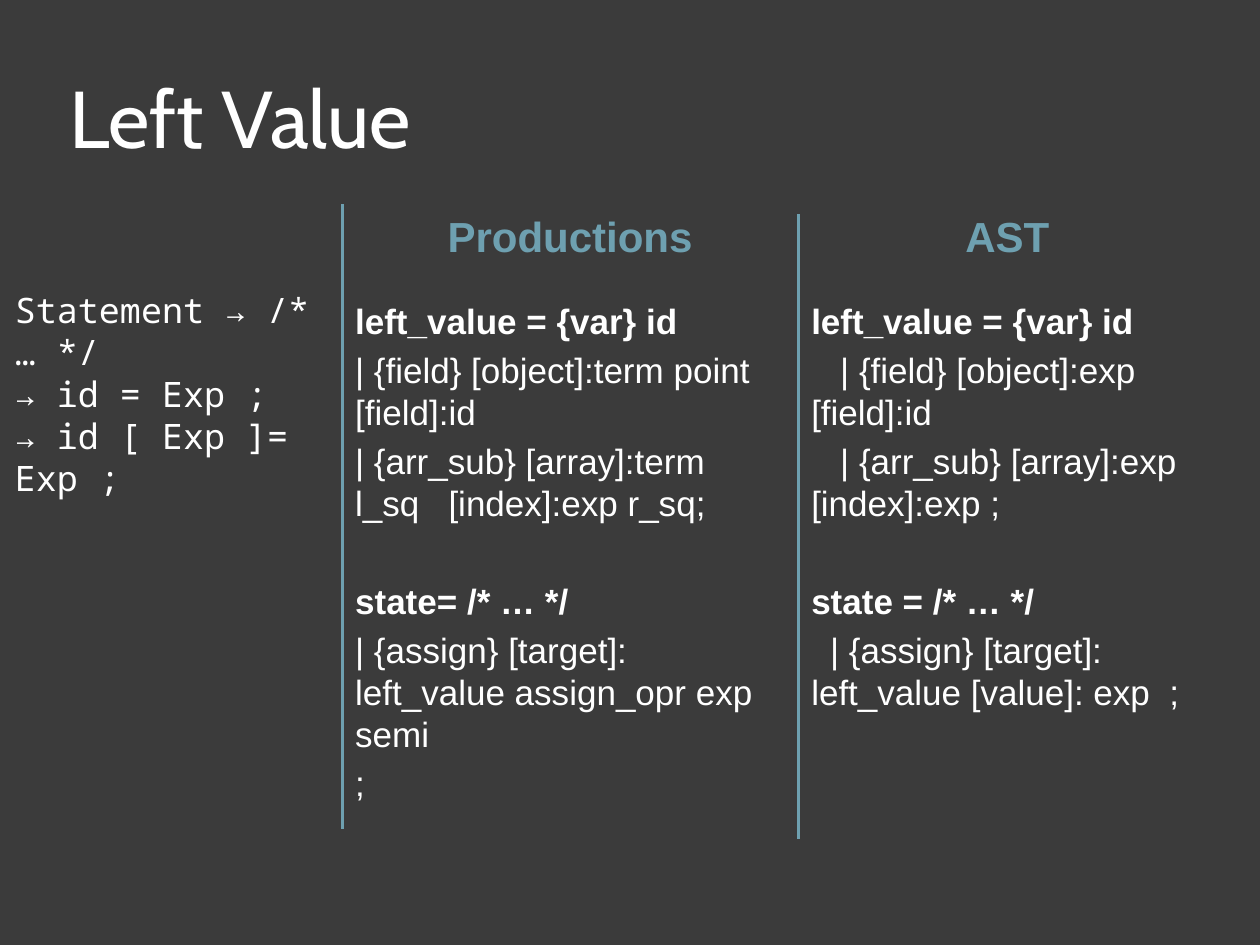
from lxml import etree
from pptx import Presentation
from pptx.dml.color import RGBColor
from pptx.enum.shapes import MSO_CONNECTOR
from pptx.enum.text import MSO_ANCHOR, PP_ALIGN
from pptx.oxml.ns import qn
from pptx.util import Inches, Pt

STRAIGHT = MSO_CONNECTOR.STRAIGHT
TOP, MIDDLE = MSO_ANCHOR.TOP, MSO_ANCHOR.MIDDLE
LEFT, CENTER = PP_ALIGN.LEFT, PP_ALIGN.CENTER

COLORS = {"background": "3B3B3B", "text": "FFFFFF", "accent": "6EA0B0"}

TITLE = {"name": "Cabin", "size": Pt(46)}
HEADING = {"name": "Arial", "size": Pt(24), "bold": True}
BODY = {"name": "Arial", "size": Pt(20), "bold": False}
RULE = {**BODY, "bold": True}
CODE = {"name": "Noto Sans Mono", "size": Pt(20)}

# Paragraph spacing: code lines, grammar lines, and the start of a new rule
TIGHT = {"line_spacing": Pt(24)}
SPACED = {**TIGHT, "space_before": Pt(4)}
NEW_RULE = {**TIGHT, "space_before": Pt(32)}


def apply_format(target, values):
    for name, value in values.items():
        setattr(target, name, value)


class SlideBuilder:
    """Holds the colours and the slide being filled."""

    def __init__(self, slide, colors):
        self.slide = slide
        self.colors = {name: RGBColor.from_string(value)
                       for name, value in colors.items()}
        fill = slide.background.fill
        fill.solid()
        fill.fore_color.rgb = self.colors["background"]

    def text_box(self, left, top, width, height, anchor=TOP, margin=0.1):
        shape = self.slide.shapes.add_textbox(
            Inches(left), Inches(top), Inches(width), Inches(height))
        frame = shape.text_frame
        apply_format(frame, {
            "word_wrap": True, "vertical_anchor": anchor,
            "margin_left": Inches(margin), "margin_right": Inches(margin)})
        return frame

    def paragraph(self, frame, text, font, color="text", spacing=None,
                  alignment=LEFT, indent=0):
        paragraph = frame.paragraphs[0]
        if paragraph.runs:
            paragraph = frame.add_paragraph()
        apply_format(paragraph, {"alignment": alignment, **(spacing or {})})
        if indent:
            properties = paragraph._p.get_or_add_pPr()
            properties.set("marL", "0")
            properties.set("indent", str(Inches(indent)))
        run = paragraph.add_run()
        run.text = text
        apply_format(run.font, font)
        run.font.color.rgb = self.colors[color]

    def heading(self, text, left, width):
        frame = self.text_box(left, 1.62, width, 0.7)
        self.paragraph(frame, text, HEADING, "accent", alignment=CENTER)

    def grammar(self, left, width, rules):
        frame = self.text_box(left, 2.33, width, 4.32)
        for number, (rule, alternatives) in enumerate(rules):
            self.paragraph(frame, rule, RULE,
                           spacing=NEW_RULE if number else SPACED)
            for text, indent in alternatives:
                self.paragraph(frame, text, BODY, spacing=SPACED,
                               indent=indent)

    def divider(self, left, top, height):
        line = self.slide.shapes.add_connector(
            STRAIGHT, Inches(left), Inches(top),
            Inches(left), Inches(top + height))
        line.line.color.rgb = self.colors["accent"]
        line.line.width = Pt(1.5)
        etree.SubElement(line._element.spPr, qn("a:effectLst"))


def main():
    presentation = Presentation()
    presentation.slide_width = Inches(10)
    presentation.slide_height = Inches(7.5)
    slide = presentation.slides.add_slide(presentation.slide_layouts[6])
    builder = SlideBuilder(slide, COLORS)

    # Title
    title = builder.text_box(0.5, 0.3, 9, 1.25, MIDDLE, margin=0.05)
    builder.paragraph(title, "Left Value", TITLE)

    # Productions column
    builder.heading("Productions", 3.03, 2.99)
    builder.grammar(2.72, 3.39, [
        ("left_value = {var} id", [
            ("| {field} [object]:term point [field]:id", 0),
            ("| {arr_sub} [array]:term l_sq   [index]:exp r_sq;", 0)]),
        ("state= /* … */", [
            ("| {assign} [target]: left_value assign_opr exp semi", 0),
            (";", 0)]),
    ])

    # AST column
    builder.heading("AST", 6.73, 2.53)
    builder.grammar(6.34, 3.48, [
        ("left_value = {var} id", [
            ("| {field} [object]:exp [field]:id", 0.23),
            ("| {arr_sub} [array]:exp [index]:exp ;", 0.23)]),
        ("state = /* … */", [
            ("| {assign} [target]: left_value [value]: exp  ;", 0.15)]),
    ])

    # Source grammar on the left
    statement = builder.text_box(0.02, 2.57, 2.69, 1.11, MIDDLE)
    for text in ("Statement → /* … */", "→ id = Exp ;", "→ id [ Exp ]= Exp ;"):
        builder.paragraph(statement, text, CODE, spacing=TIGHT)

    # Column dividers
    for left, top in ((2.72, 1.62), (6.34, 1.7)):
        builder.divider(left, top, 4.96)

    presentation.save("out.pptx")


if __name__ == "__main__":
    main()
